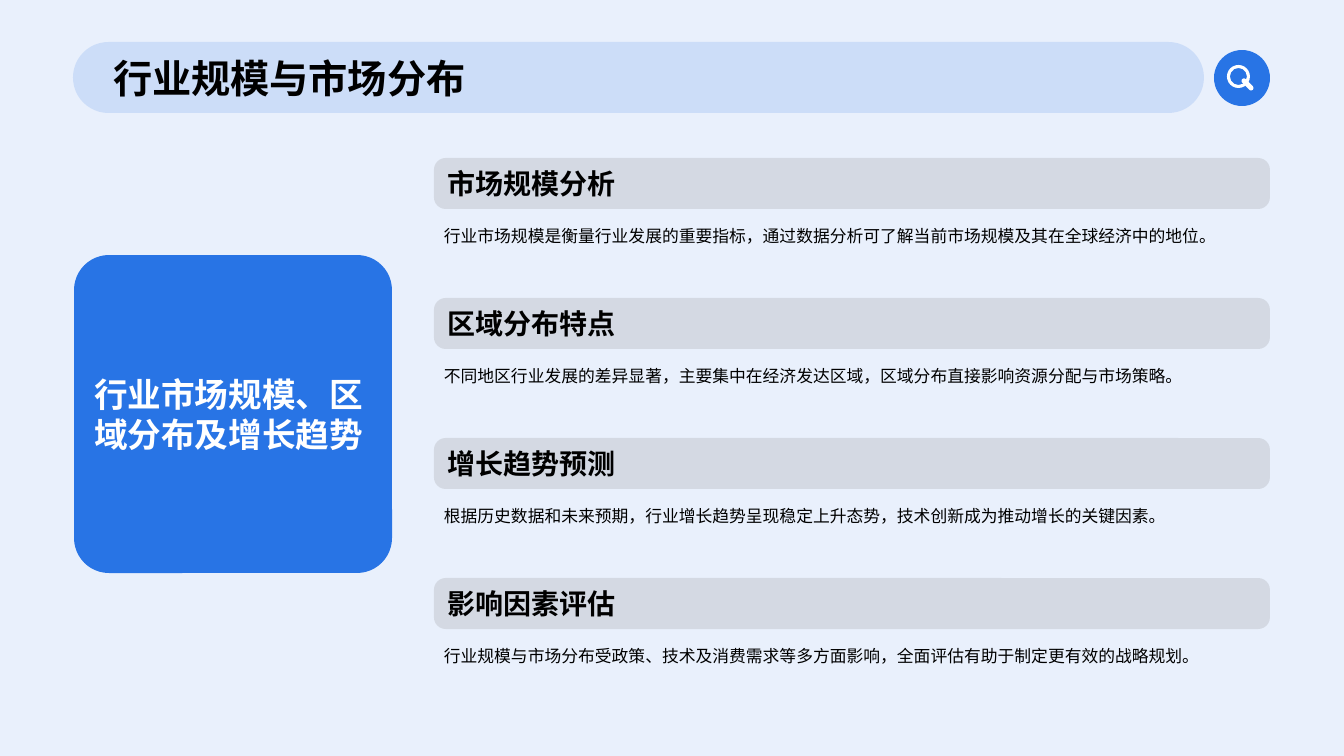
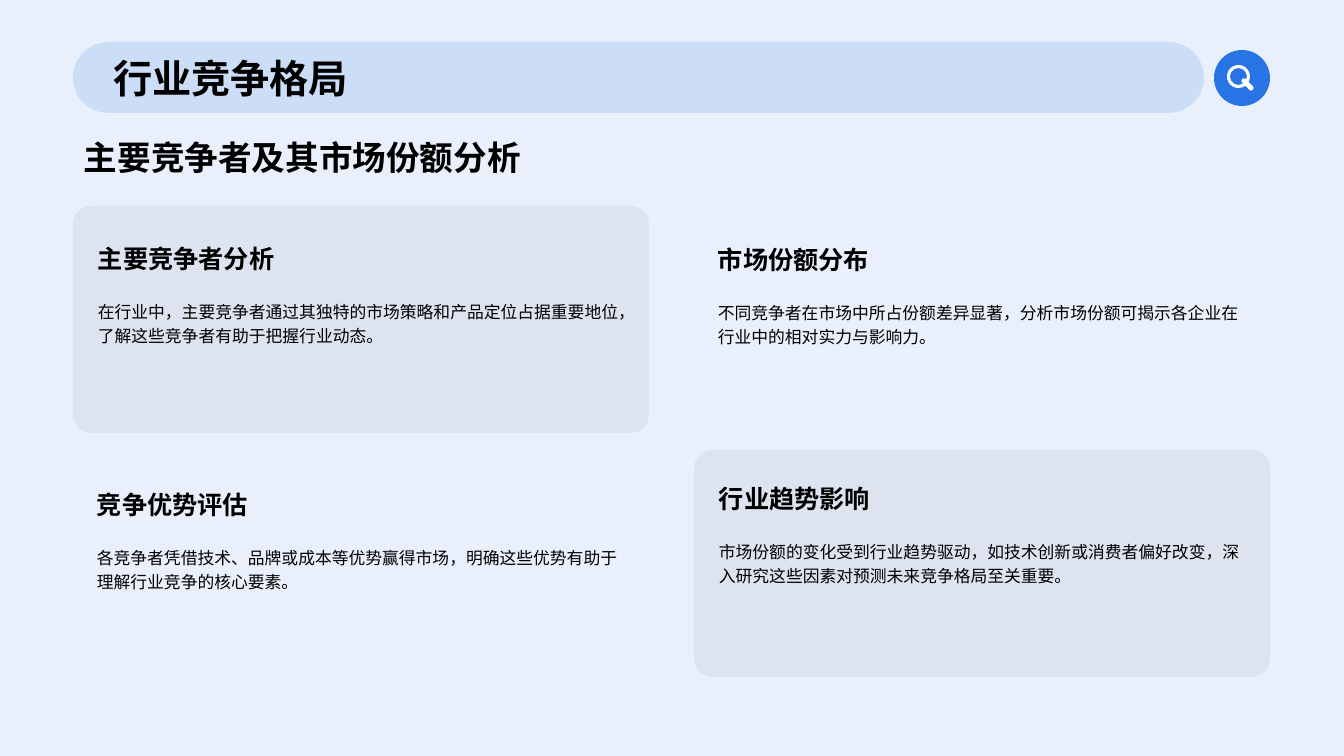
from dataclasses import dataclass

from lxml.etree import SubElement
from pptx import Presentation
from pptx.dml.color import RGBColor
from pptx.enum.lang import MSO_LANGUAGE_ID as Lang
from pptx.enum.shapes import MSO_SHAPE as Shape
from pptx.enum.text import MSO_ANCHOR as Anchor, MSO_AUTO_SIZE as AutoSize, PP_ALIGN as Align
from pptx.oxml.ns import qn
from pptx.util import Pt

PX = 12192000 / 1344  # EMU per px


@dataclass(frozen=True)
class Theme:
    blue: str = "2874E5"
    grey: str = "808080"
    black: str = "000000"
    white: str = "FFFFFF"
    title_font: str = "Times New Roman"
    font: str = "Arial"
    title: int = 28
    lead: int = 24
    bar: int = 20
    card: int = 18
    body: int = 12


T = Theme()

SCALE_TITLE = "行业规模与市场分布"
SCALE_LEAD = "行业市场规模、区域分布及增长趋势"
SCALE_ROWS = [
    ("市场规模分析", "行业市场规模是衡量行业发展的重要指标，通过数据分析可了解当前市场规模及其在全球经济中的地位。"),
    ("区域分布特点", "不同地区行业发展的差异显著，主要集中在经济发达区域，区域分布直接影响资源分配与市场策略。"),
    ("增长趋势预测", "根据历史数据和未来预期，行业增长趋势呈现稳定上升态势，技术创新成为推动增长的关键因素。"),
    ("影响因素评估", "行业规模与市场分布受政策、技术及消费需求等多方面影响，全面评估有助于制定更有效的战略规划。"),
]

RIVALS_TITLE = "行业竞争格局"
RIVALS_LEAD = "主要竞争者及其市场份额分析"
# heading, body, text offset inside the cell, shaded card
RIVALS_CARDS = [
    ("主要竞争者分析", "在行业中，主要竞争者通过其独特的市场策略和产品定位占据重要地位，了解这些竞争者有助于把握行业动态。",
     (15, 11), True),
    ("市场份额分布", "不同竞争者在市场中所占份额差异显著，分析市场份额可揭示各企业在行业中的相对实力与影响力。",
     (14, 12), False),
    ("竞争优势评估", "各竞争者凭借技术、品牌或成本等优势赢得市场，明确这些优势有助于理解行业竞争的核心要素。",
     (14, 13), False),
    ("行业趋势影响", "市场份额的变化受到行业趋势驱动，如技术创新或消费者偏好改变，深入研究这些因素对预测未来竞争格局至关重要。",
     (15, 7), True),
]


def px(*lengths):
    return [round(n * PX) for n in lengths]


def write(sp, text, size, color=T.black, bold=True, font=T.font, anchor=Anchor.MIDDLE, spacing=None):
    tf = sp.text_frame
    tf.word_wrap = True
    tf.auto_size = AutoSize.NONE
    tf.vertical_anchor = anchor
    p = tf.paragraphs[0]
    p.alignment = Align.LEFT
    if spacing:
        p.line_spacing = spacing
    r = p.add_run()
    r.text = text
    f = r.font
    f.name, f.size, f.bold = font, Pt(size), bold
    f.color.rgb = RGBColor.from_string(color)
    f.language_id = Lang.SIMPLIFIED_CHINESE


def add_shape(s, kind, box, color, opacity=100, adj=None):
    sp = s.shapes.add_shape(kind, *px(*box))
    sp.shadow.inherit = False
    sp.line.fill.background()
    sp.fill.solid()
    sp.fill.fore_color.rgb = RGBColor.from_string(color)
    if opacity < 100:
        fill = sp.element.spPr.find(qn("a:solidFill"))
        SubElement(fill[0], qn("a:alpha"), val=str(opacity * 1000))
    if adj is not None:
        sp.adjustments[0] = adj
    return sp


def add_text(s, box, text, size, **style):
    write(s.shapes.add_textbox(*px(*box)), text, size, **style)


def build_frame(s, layout):
    """Draw the shared backdrop, title band and search badge, then move them to the layout."""
    handle = add_shape(s, Shape.ROUNDED_RECTANGLE, (1240, 82, 15, 5), T.white, adj=0.5)
    handle.rotation = 45
    frame = [
        add_shape(s, Shape.RECTANGLE, (0, 0, 1344, 756), T.blue, 10),
        add_shape(s, Shape.ROUNDED_RECTANGLE, (73, 42, 1131, 71), T.blue, 15, 0.5),
        add_shape(s, Shape.OVAL, (1214, 50, 56, 56), T.blue),
        add_shape(s, Shape.DONUT, (1227, 65, 23, 23), T.white, adj=0.13),
        handle,
    ]
    for i, sp in enumerate(frame):
        sp.element.nvSpPr.cNvPr.set("id", str(100 + i))
        layout.shapes.element.insert(2 + i, sp.element)
    title = layout.placeholders[0]
    title.left, title.top, title.width, title.height = px(103, 46, 1072, 64)


def add_slide(prs, layout, title):
    s = prs.slides.add_slide(layout)
    write(s.shapes.title, title, T.title, font=T.title_font)
    return s


def build_scale(s):
    lead = add_shape(s, Shape.ROUNDED_RECTANGLE, (74, 255, 318, 318), T.blue, adj=0.11)
    write(lead, SCALE_LEAD, T.lead, T.white)
    left, top, width, pitch = 434, 158, 836, 140
    for i, (heading, body) in enumerate(SCALE_ROWS):
        y = top + i * pitch
        bar = add_shape(s, Shape.ROUNDED_RECTANGLE, (left, y, width, 51), T.grey, 20, 0.23)
        write(bar, heading, T.bar)
        add_text(s, (left, y + 57, width, 76), body, T.body,
                 bold=False, anchor=Anchor.TOP, spacing=1.3)


def build_rivals(s):
    add_text(s, (74, 126, 1196, 63), RIVALS_LEAD, T.lead)
    left, top, col_pitch, row_pitch = 73, 206, 621, 244
    for i, (heading, body, (dx, dy), shaded) in enumerate(RIVALS_CARDS):
        row, col = divmod(i, 2)
        x, y = left + col * col_pitch, top + row * row_pitch
        if shaded:
            add_shape(s, Shape.ROUNDED_RECTANGLE, (x, y, 576, 227), T.black, 5, 0.08)
        add_text(s, (x + dx, y + dy + 76, 551, 132), body, T.body,
                 bold=False, anchor=Anchor.TOP, spacing=1.2)
        add_text(s, (x + dx, y + dy, 551, 76), heading, T.card, spacing=1.2)


def main():
    prs = Presentation()
    prs.slide_width, prs.slide_height = px(1344, 756)
    layout = prs.slide_layouts[5]
    scale = add_slide(prs, layout, SCALE_TITLE)
    build_frame(scale, layout)
    build_scale(scale)
    build_rivals(add_slide(prs, layout, RIVALS_TITLE))
    prs.save("out.pptx")


if __name__ == "__main__":
    main()
